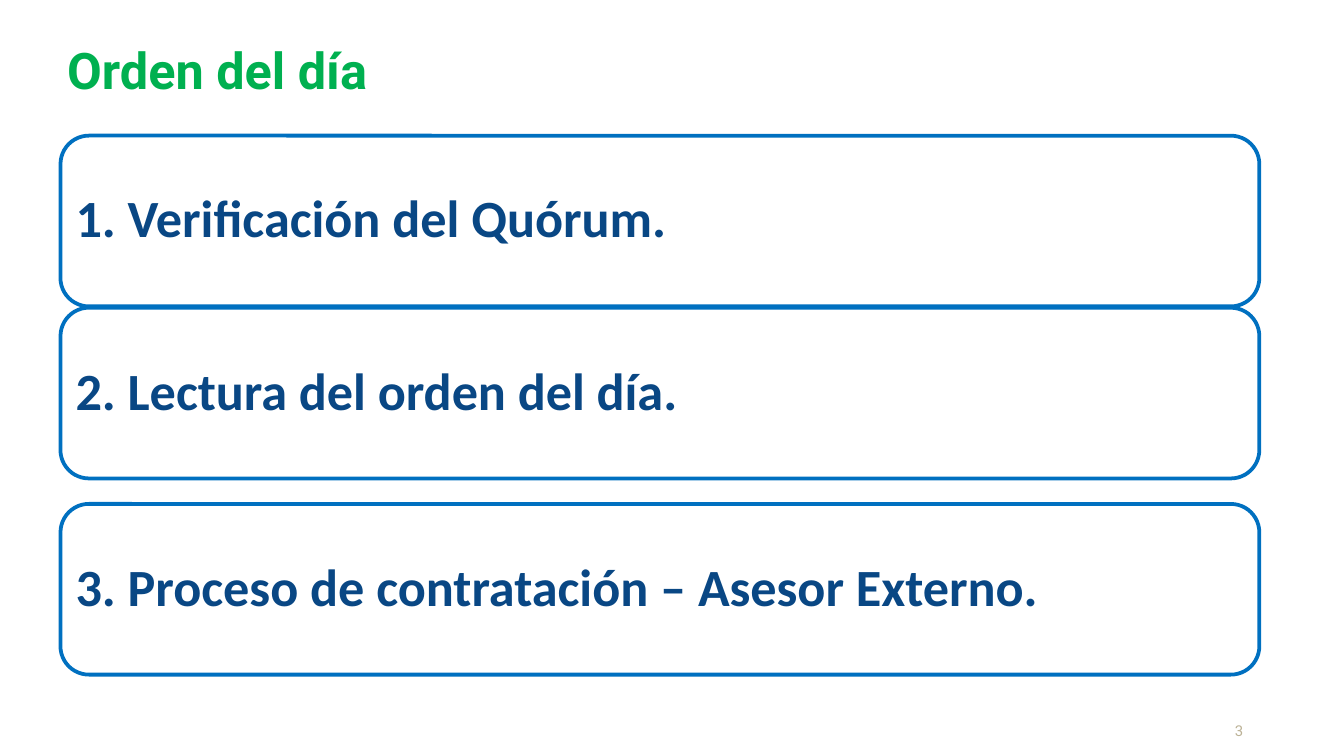
from pptx import Presentation
from pptx.dml.color import RGBColor
from pptx.enum import shapes, text
from pptx.util import Inches, Pt

GREEN = RGBColor(0x00, 0xB0, 0x50)
BLUE = RGBColor(0x00, 0x70, 0xC0)
NAVY = RGBColor(0x09, 0x47, 0x84)
SAND = RGBColor(0xBC, 0xB2, 0x96)

TITLE = "Orden del día"
PAGE_NUMBER = "3"
# Agenda entries with the top of each card in inches
AGENDA = [
    ("1. Verificación del Quórum. ", 1.01),
    ("2. Lectura del orden del día. ", 2.29),
    ("3. Proceso de contratación – Asesor Externo.", 3.75),
]
CARD_LEFT, CARD_WIDTH, CARD_HEIGHT = 0.45, 8.92, 1.27


def write(box, words, *, size, color, font, bold=False, margin=0,
          align=text.PP_ALIGN.LEFT, anchor=text.MSO_ANCHOR.MIDDLE, spacing=1.0):
    """Put one formatted paragraph into a shape."""
    frame = box.text_frame
    frame.word_wrap = True
    frame.vertical_anchor = anchor
    frame.margin_left = frame.margin_right = Inches(margin)
    frame.margin_top = frame.margin_bottom = Inches(margin)
    para = frame.paragraphs[0]
    para.alignment = align
    para.line_spacing = spacing
    span = para.add_run()
    span.text = words
    span.font.size = Pt(size)
    span.font.name = font
    span.font.bold = bold
    span.font.color.rgb = color


def add_label(page, left, top, width, height, words, **style):
    """Add a text box holding one line of text."""
    box = page.shapes.add_textbox(
        Inches(left), Inches(top), Inches(width), Inches(height))
    write(box, words, **style)


def add_card(page, top, words):
    """Add one outlined agenda card with its text."""
    card = page.shapes.add_shape(
        shapes.MSO_SHAPE.ROUNDED_RECTANGLE, Inches(CARD_LEFT), Inches(top),
        Inches(CARD_WIDTH), Inches(CARD_HEIGHT))
    card.shadow.inherit = False
    card.fill.background()
    card.line.color.rgb = BLUE
    card.line.width = Pt(2)
    write(card, words, size=28, color=NAVY, font="Calibri", bold=True,
          margin=0.05, spacing=0.9)


deck = Presentation()
deck.slide_width = Inches(10)
deck.slide_height = deck.slide_width * 9 // 16
page = deck.slides.add_slide(deck.slide_layouts[6])

add_label(page, 8.93, 5.37, 0.32, 0.13, PAGE_NUMBER, size=8, color=SAND,
          font="Roboto", align=text.PP_ALIGN.RIGHT,
          anchor=text.MSO_ANCHOR.BOTTOM)
for entry, top in AGENDA:
    add_card(page, top, entry)
add_label(page, 0.31, 0.22, 6.8, 0.59, TITLE, size=27, color=GREEN,
          font="Roboto", bold=True, margin=0.19)

deck.save("out.pptx")
